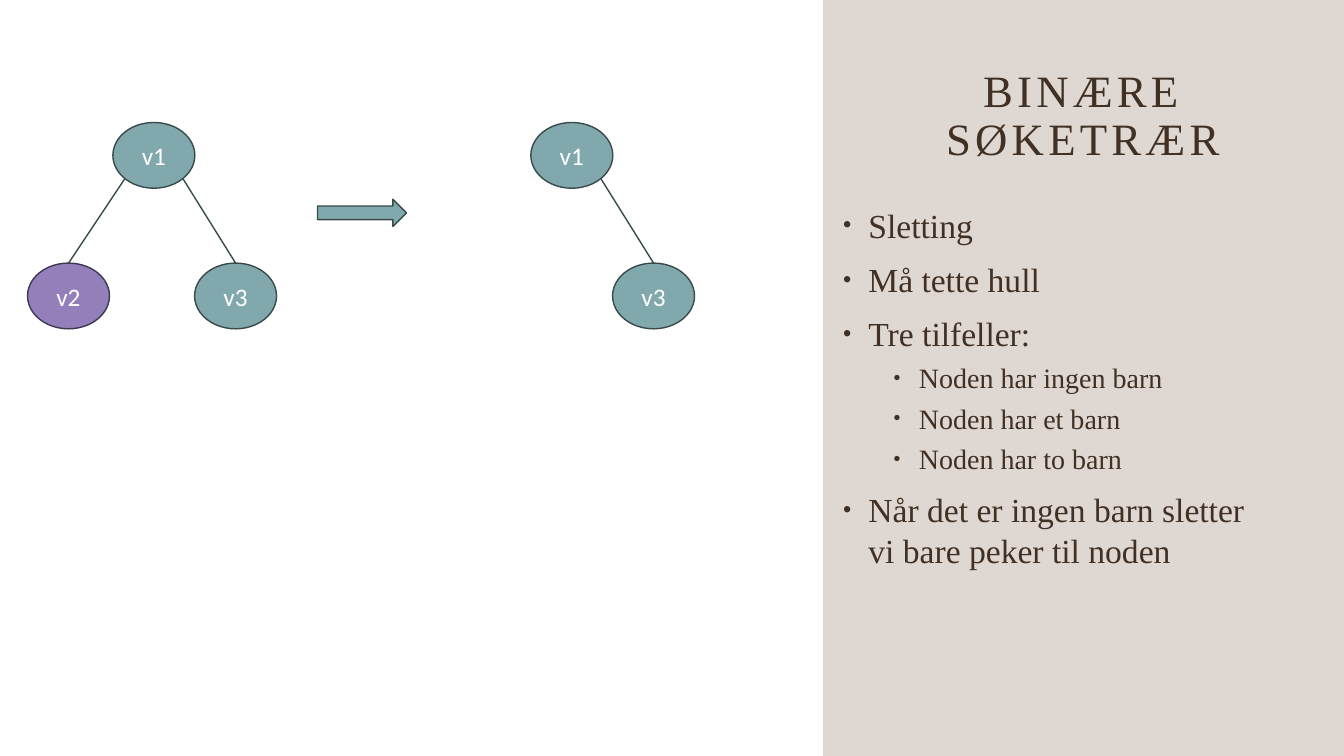
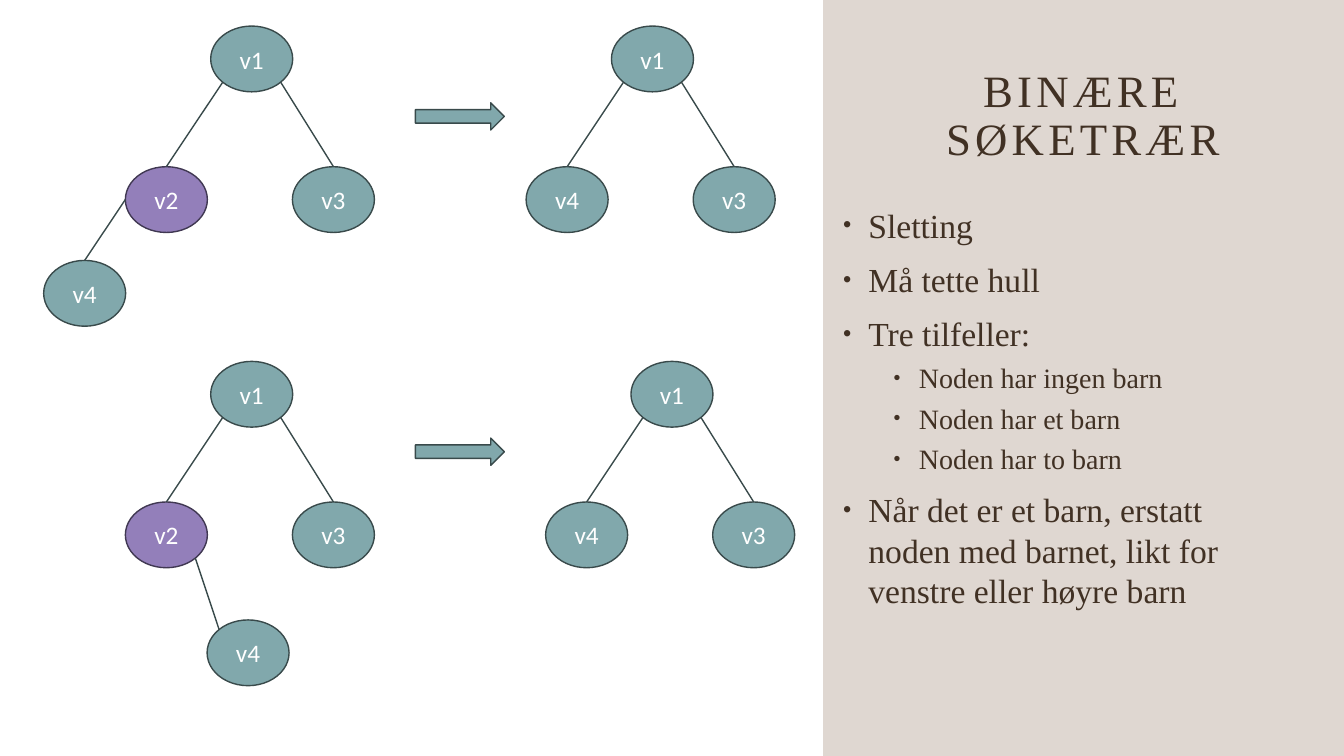
from math import sqrt

from lxml.etree import SubElement
from pptx import Presentation
from pptx.dml.color import RGBColor
from pptx.enum.shapes import MSO_CONNECTOR, MSO_SHAPE
from pptx.enum.text import MSO_ANCHOR, PP_ALIGN
from pptx.oxml.ns import qn
from pptx.util import Inches, Pt

SLIDE_WIDTH, SLIDE_HEIGHT = Inches(13.333), Inches(7.5)

PANEL_BROWN = RGBColor(0x83, 0x63, 0x48)
TEXT_BROWN = RGBColor(0x41, 0x31, 0x24)
TEAL = RGBColor(0x81, 0xA8, 0xAC)
DARK_TEAL = RGBColor(0x39, 0x4A, 0x4B)
PURPLE = RGBColor(0x93, 0x7F, 0xBA)
DARK_PURPLE = RGBColor(0x40, 0x38, 0x52)
WHITE = RGBColor(0xFF, 0xFF, 0xFF)

HEADING_FONT, NODE_FONT = "Times New Roman", "Calibri"

# Lengths are percentages of the slide's width and height.
PANEL = (61.25, 0, 38.75, 100)
TITLE = (66.65, 3.45, 27.85, 19.05)
BODY = (62, 26.4, 32.4, 65.6)
NODE_SIZE = (6.1, 8.7)
ARROW_SIZE = (6.62, 3.6)
ARROW_OFFSET = (15.23, 10.15)
LEFT_CHILD = (-6.35, 18.6)
RIGHT_CHILD = (6.08, 18.6)
LEFT_GRANDCHILD = (-6.08, 12.4)
RIGHT_GRANDCHILD = (6.08, 15.6)

DIAGONAL = sqrt(0.5) / 2
NODE_SITES = {
    "top": (0, 0.5, 0),
    "top left": (1, 0.5 - DIAGONAL, 0.5 - DIAGONAL),
    "left": (2, 0, 0.5),
    "bottom left": (3, 0.5 - DIAGONAL, 0.5 + DIAGONAL),
    "bottom right": (5, 0.5 + DIAGONAL, 0.5 + DIAGONAL),
}

HEADING = "BINÆRE SØKETRÆR"
SHARED_POINTS = [
    (0, "Sletting"),
    (0, "Må tette hull"),
    (0, "Tre tilfeller:"),
    (1, "Noden har ingen barn"),
    (1, "Noden har et barn"),
    (1, "Noden har to barn"),
]
NO_CHILD_POINT = "Når det er ingen barn sletter vi bare peker til noden"
ONE_CHILD_POINT = (
    "Når det er et barn, erstatt noden med barnet, likt for venstre eller høyre barn"
)


def place(left, top, width, height):
    return (
        round(SLIDE_WIDTH * left / 100),
        round(SLIDE_HEIGHT * top / 100),
        round(SLIDE_WIDTH * width / 100),
        round(SLIDE_HEIGHT * height / 100),
    )


def shift(position, offset):
    return position[0] + offset[0], position[1] + offset[1]


def style_runs(paragraph, font_name, size, color):
    for run in paragraph.runs:
        run.font.name = font_name
        run.font.size = Pt(size)
        run.font.color.rgb = color


def add_filled(slide, preset, box, fill, outline=None):
    shape = slide.shapes.add_shape(preset, *place(*box))
    shape.shadow.inherit = False
    shape.fill.solid()
    shape.fill.fore_color.rgb = fill
    if outline is None:
        shape.line.fill.background()
    else:
        shape.line.color.rgb = outline
        shape.line.width = Pt(1)
    return shape


def add_panel(slide):
    panel = add_filled(slide, MSO_SHAPE.RECTANGLE, PANEL, PANEL_BROWN)
    tint = panel.fill._xPr.find(qn("a:solidFill"))[0]
    SubElement(tint, qn("a:alpha"), val="25000")


def add_text_frame(slide, box):
    frame = slide.shapes.add_textbox(*place(*box)).text_frame
    frame.word_wrap = True
    return frame


def add_title(slide):
    frame = add_text_frame(slide, TITLE)
    frame.vertical_anchor = MSO_ANCHOR.BOTTOM
    frame.text = HEADING
    heading = frame.paragraphs[0]
    heading.alignment = PP_ALIGN.CENTER
    heading.line_spacing = 0.9
    style_runs(heading, HEADING_FONT, 32, TEXT_BROWN)
    heading.runs[0].font._element.set("spc", "300")


def add_bullet(paragraph, level):
    properties = paragraph._p.get_or_add_pPr()
    properties.set("marL", str(Inches(0.25 + 0.5 * level)))
    properties.set("indent", str(Inches(-0.25)))
    SubElement(properties, qn("a:buSzPct"), val="70000")
    SubElement(properties, qn("a:buFont"), typeface="Arial")
    SubElement(properties, qn("a:buChar"), char="•")


def add_points(slide, points):
    frame = add_text_frame(slide, BODY)
    for number, (level, wording) in enumerate(points):
        point = frame.add_paragraph() if number else frame.paragraphs[0]
        point.text = wording
        point.level = level
        point.space_before = Pt(5 if level else 10)
        add_bullet(point, level)
        style_runs(point, HEADING_FONT, 20 if level else 24, TEXT_BROWN)


def add_node(slide, label, position, deleted=False):
    fill, outline = (PURPLE, DARK_PURPLE) if deleted else (TEAL, DARK_TEAL)
    node = add_filled(slide, MSO_SHAPE.OVAL, (*position, *NODE_SIZE), fill, outline)
    frame = node.text_frame
    frame.text = label
    frame.vertical_anchor = MSO_ANCHOR.MIDDLE
    frame.paragraphs[0].alignment = PP_ALIGN.CENTER
    style_runs(frame.paragraphs[0], NODE_FONT, 18, WHITE)
    return node


def site_point(node, site):
    _, across, down = NODE_SITES[site]
    return round(node.left + node.width * across), round(node.top + node.height * down)


def add_edge(slide, parent, parent_site, child, child_site="top"):
    edge = slide.shapes.add_connector(
        MSO_CONNECTOR.STRAIGHT,
        *site_point(parent, parent_site),
        *site_point(child, child_site),
    )
    edge.line.color.rgb = DARK_TEAL
    edge.line.width = Pt(1)
    SubElement(edge._element.spPr, qn("a:effectLst"))
    glue = edge._element.nvCxnSpPr.cNvCxnSpPr
    ends = (("a:stCxn", parent, parent_site), ("a:endCxn", child, child_site))
    for tag, node, site in ends:
        SubElement(glue, qn(tag), id=str(node.shape_id), idx=str(NODE_SITES[site][0]))


def add_tree(slide, root_position, left_label=None, deleted=False):
    root = add_node(slide, "v1", root_position)
    right = add_node(slide, "v3", shift(root_position, RIGHT_CHILD))
    add_edge(slide, root, "bottom right", right)
    if left_label is None:
        return None
    left = add_node(slide, left_label, shift(root_position, LEFT_CHILD), deleted)
    add_edge(slide, root, "bottom left", left)
    return left


def add_deletion(slide, before, after, replacement=None):
    deleted_node = add_tree(slide, before, "v2", deleted=True)
    arrow_box = (*shift(before, ARROW_OFFSET), *ARROW_SIZE)
    add_filled(slide, MSO_SHAPE.RIGHT_ARROW, arrow_box, TEAL, DARK_TEAL)
    add_tree(slide, after, replacement)
    return deleted_node


def add_grandchild(slide, parent, root_position, offset, parent_site, child_site):
    position = shift(shift(root_position, LEFT_CHILD), offset)
    grandchild = add_node(slide, "v4", position)
    add_edge(slide, parent, parent_site, grandchild, child_site)


def add_topic_slide(presentation, last_point):
    slide = presentation.slides.add_slide(presentation.slide_layouts[6])
    add_panel(slide)
    add_title(slide)
    add_points(slide, SHARED_POINTS + [(0, last_point)])
    return slide


def main():
    presentation = Presentation()
    presentation.slide_width = SLIDE_WIDTH
    presentation.slide_height = SLIDE_HEIGHT

    no_child = add_topic_slide(presentation, NO_CHILD_POINT)
    add_deletion(no_child, (8.4, 16.2), (39.5, 16.2))

    one_child = add_topic_slide(presentation, ONE_CHILD_POINT)
    upper, lower = (15.68, 3.45), (15.68, 47.8)
    left_case = add_deletion(one_child, upper, (45.5, 3.45), "v4")
    add_grandchild(one_child, left_case, upper, LEFT_GRANDCHILD, "left", "top")
    right_case = add_deletion(one_child, lower, (46.95, 47.8), "v4")
    add_grandchild(
        one_child, right_case, lower, RIGHT_GRANDCHILD, "bottom right", "top left"
    )

    presentation.save("out.pptx")


main()
